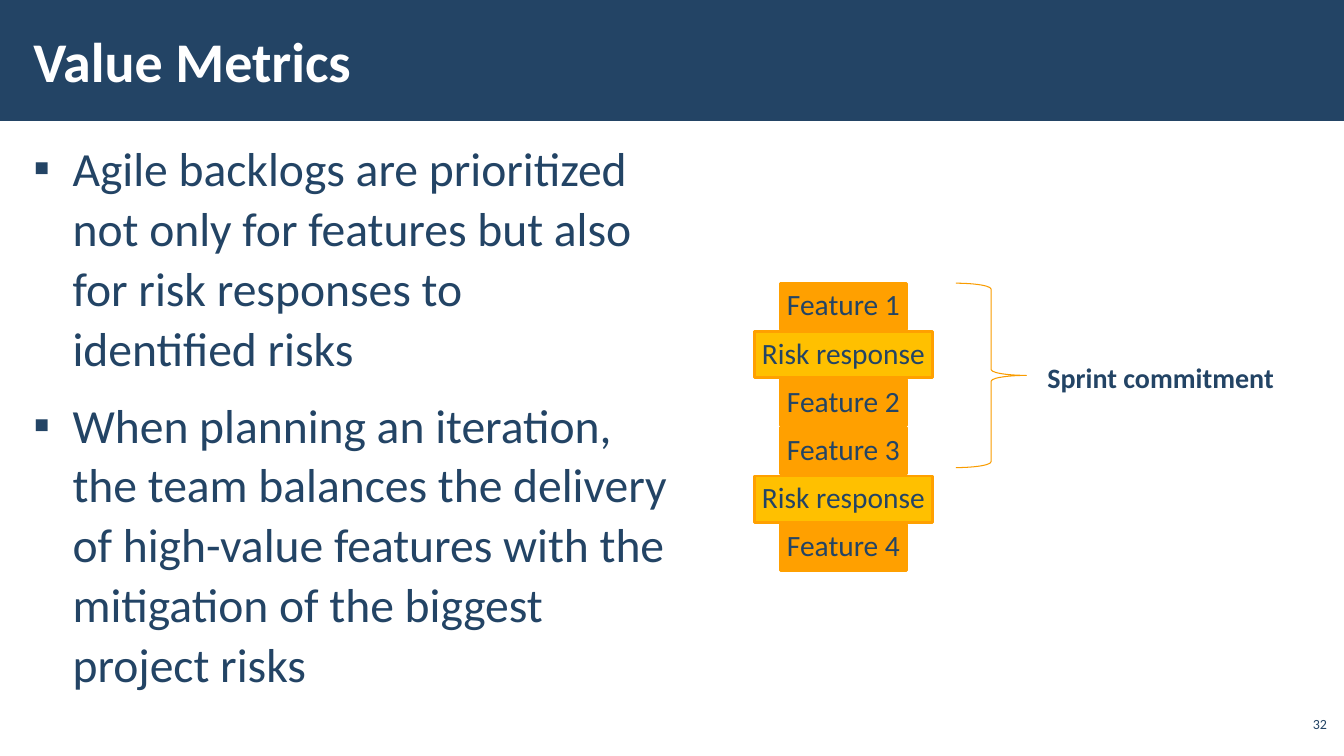
from lxml.etree import SubElement as Sub
from pptx import Presentation
from pptx.dml.color import RGBColor as Rgb
from pptx.enum.shapes import MSO_SHAPE as Kind
from pptx.enum.text import MSO_ANCHOR as Anchor, MSO_AUTO_SIZE as Fit, PP_ALIGN as Align
from pptx.oxml.ns import qn
from pptx.util import Inches as In, Pt

WIDE, HIGH = 13.33, 7.5
INK = {"navy": "234465", "white": "FFFFFF", "orange": "FFA000",
       "gold": "FFC000", "brace": "F99C00"}
POINTS = [
    "Agile backlogs are prioritized not only for features but also "
    "for risk responses to \nidentified risks",
    "When planning an iteration, the team balances the delivery of high-value "
    "features with the mitigation of the biggest \nproject risks",
]
BACKLOG = ["Feature 1", "Risk response", "Feature 2",
           "Feature 3", "Risk response", "Feature 4"]
TOP, STEP, MID = 2.81, 0.478, 8.365  # backlog stack: first row, pitch, centre
PAD = (0.12, 0.04)


def color(name):
    return Rgb.from_string(INK[name])


def place(item, left, top, width, height):
    item.left, item.top = In(left), In(top)
    item.width, item.height = In(width), In(height)


def bullet(para, sign="▪", indent=0.39):
    props = para._p.get_or_add_pPr()
    props.set("marL", str(In(indent)))
    props.set("indent", str(-In(indent)))
    Sub(props, qn("a:buFont"), typeface="Arial")
    Sub(props, qn("a:buChar"), char=sign)


def write(item, *lines, size, ink="navy", bold=False, align=Align.LEFT,
          anchor=Anchor.TOP, pad=(0.1, 0.05), wrap=True, lead=None,
          gap=0, dots=False):
    """Put one paragraph per line into a shape; gap is the space around each."""
    frame = item.text_frame
    frame.word_wrap, frame.auto_size = wrap, Fit.NONE
    frame.vertical_anchor = anchor
    frame.margin_left = frame.margin_right = In(pad[0])
    frame.margin_top = frame.margin_bottom = In(pad[1])
    for i, line in enumerate(lines):
        para = frame.add_paragraph() if i else frame.paragraphs[0]
        para.text = line.replace("\n", "\v")
        if dots:
            bullet(para)
        para.alignment = align
        if lead:
            para.line_spacing = lead
        para.space_before, para.space_after = Pt(gap if i else 0), Pt(gap)
        for run in para.runs:
            font = run.font
            font.name, font.size, font.bold = "Calibri", Pt(size), bold
            font.color.rgb = color(ink)


def label(slide, box, *lines, **form):
    item = slide.shapes.add_textbox(*map(In, box))
    write(item, *lines, **form)


def shape(slide, kind, box, fill=None, line=None, weight=1):
    item = slide.shapes.add_shape(kind, *map(In, box))
    item.shadow.inherit = False
    if fill:
        item.fill.solid()
        item.fill.fore_color.rgb = color(fill)
    else:
        item.fill.background()
    if line:
        item.line.color.rgb = color(line)
        item.line.width = Pt(weight)
    else:
        item.line.fill.background()
    return item


def header(slide, text):
    band = shape(slide, Kind.RECTANGLE, (0, 0, WIDE, 0.16 * HIGH), "navy")
    title = slide.shapes.title
    title._element.addprevious(band._element)
    place(title, 0.21, 0.11, 10.63, 0.97)
    write(title, text, size=40, ink="white", bold=True,
          anchor=Anchor.MIDDLE, pad=PAD)


def stack(slide, names):
    for row, name in enumerate(names):
        risk = name.startswith("Risk")
        width = 1.77 if risk else 1.25
        box = (MID - width / 2, TOP + row * STEP, width, 0.46)
        item = shape(slide, Kind.RECTANGLE, box,
                     "gold" if risk else "orange", "orange", 2)
        write(item, name, size=21, align=Align.CENTER, anchor=Anchor.MIDDLE,
              pad=(0.06, 0.06), wrap=False, lead=0.9)


def main():
    deck = Presentation()
    deck.slide_width, deck.slide_height = In(WIDE), In(HIGH)
    slide = deck.slides.add_slide(deck.slide_layouts[5])
    header(slide, "Value Metrics")
    label(slide, (0.21, 1.31, 6.71, 6.05), *POINTS, size=34, pad=PAD,
          lead=1.05, gap=6, dots=True)
    stack(slide, BACKLOG)
    shape(slide, Kind.RIGHT_BRACE, (9.48, TOP, 0.7, 1.83),
          line="brace", weight=0.75)
    label(slide, (10.29, 3.53, 2.58, 0.44), "Sprint commitment",
          size=20, bold=True, wrap=False)
    label(slide, (12.75, 7.12, 0.51, 0.19), "32", size=10,
          align=Align.RIGHT, anchor=Anchor.BOTTOM)
    deck.save("out.pptx")


if __name__ == "__main__":
    main()
